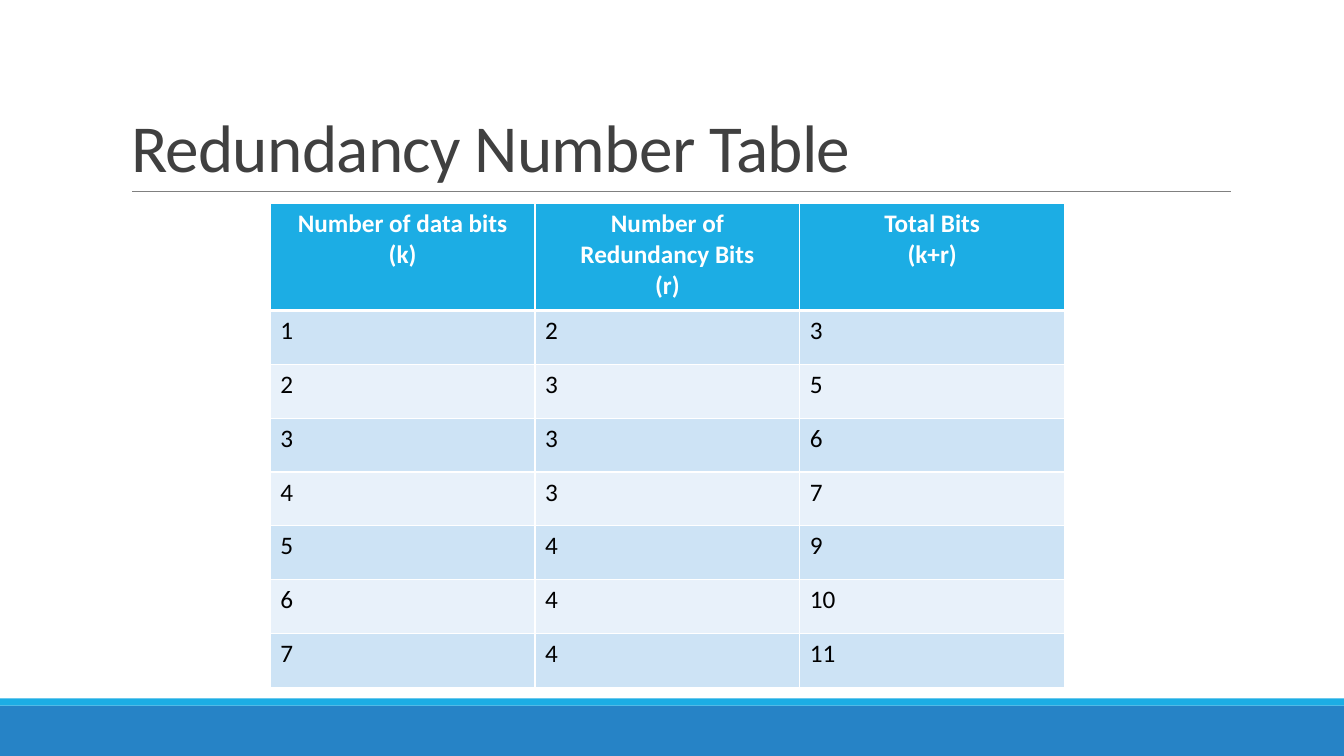
"""Build a slide with a table of redundancy bits for each number of data bits."""
from dataclasses import dataclass

from lxml import etree
from pptx import Presentation
from pptx.dml.color import RGBColor
from pptx.enum import shapes, text
from pptx.oxml import ns
from pptx.util import Inches, Pt

TITLE = "Redundancy Number Table"
HEADERS = [
    ["Number of data bits", "(k)"],
    ["Number of Redundancy Bits", "(r)"],
    ["Total Bits", "(k+r)"],
]
BITS = [(1, 2), (2, 3), (3, 3), (4, 3), (5, 4), (6, 4), (7, 4)]


@dataclass(frozen=True)
class Theme:
    font: str = "Calibri"
    title_size: int = 48
    table_size: int = 18
    title: str = "404040"
    accent: str = "1CADE4"
    footer: str = "2683C6"
    rule: str = "808080"
    white: str = "FFFFFF"
    black: str = "000000"
    bands: tuple = ("CDE3F5", "E8F1FA")


THEME = Theme()
SLIDE_WIDTH, SLIDE_HEIGHT = 13.33, 7.5
TABLE_LEFT, TABLE_TOP, TABLE_WIDTH, TABLE_HEIGHT = 2.68, 2.02, 7.88, 4.8
HEADER_HEIGHT = 1.06


def color(value):
    return RGBColor.from_string(value)


def write(frame, lines, size, ink, bold=False, align=text.PP_ALIGN.LEFT, line_spacing=1.0, tracking=0):
    for index, line in enumerate(lines):
        paragraph = frame.add_paragraph() if index else frame.paragraphs[0]
        paragraph.alignment = align
        paragraph.line_spacing = line_spacing
        run = paragraph.add_run()
        run.text = line
        run.font.name, run.font.size, run.font.bold = THEME.font, Pt(size), bold
        run.font.color.rgb = color(ink)
        if tracking:
            run.font._element.set("spc", str(int(tracking * 100)))


def add_band(slide, top, height, fill):
    band = slide.shapes.add_shape(
        shapes.MSO_SHAPE.RECTANGLE, 0, Inches(top), Inches(SLIDE_WIDTH), Inches(height))
    band.shadow.inherit = False
    band.fill.solid()
    band.fill.fore_color.rgb = color(fill)
    band.line.fill.background()


def add_rule(slide, left, right, top):
    rule = slide.shapes.add_connector(
        shapes.MSO_CONNECTOR.STRAIGHT, Inches(left), Inches(top), Inches(right), Inches(top))
    rule.line.color.rgb = color(THEME.rule)
    rule.line.width = Pt(0.5)
    etree.SubElement(rule._element.spPr, ns.qn("a:effectLst"))


def add_title(slide):
    title = slide.shapes.title
    title.left, title.top, title.width, title.height = map(Inches, (1.2, 0.31, 11, 1.59))
    frame = title.text_frame
    frame.word_wrap = True
    frame.auto_size = text.MSO_AUTO_SIZE.NONE
    frame.vertical_anchor = text.MSO_ANCHOR.BOTTOM
    write(frame, [TITLE], THEME.title_size, THEME.title, line_spacing=0.85, tracking=-0.5)


def style_cell(cell, fill, borders):
    properties = cell._tc.get_or_add_tcPr()
    for side, width in borders.items():
        border = etree.SubElement(properties, ns.qn(f"a:ln{side}"), w=str(Pt(width)))
        solid = etree.SubElement(border, ns.qn("a:solidFill"))
        etree.SubElement(solid, ns.qn("a:srgbClr"), val=THEME.white)
    cell.fill.solid()
    cell.fill.fore_color.rgb = color(fill)


def add_bits_table(slide):
    rows = [HEADERS] + [[[str(value)] for value in (k, r, k + r)] for k, r in BITS]
    table = slide.shapes.add_table(
        len(rows), len(HEADERS), Inches(TABLE_LEFT), Inches(TABLE_TOP),
        Inches(TABLE_WIDTH), Inches(TABLE_HEIGHT)).table
    body_height = (TABLE_HEIGHT - HEADER_HEIGHT) / len(BITS)
    for column in table.columns:
        column.width = Inches(TABLE_WIDTH / len(HEADERS))
    for row_index, row in enumerate(rows):
        is_header = row_index == 0
        table.rows[row_index].height = Inches(HEADER_HEIGHT if is_header else body_height)
        fill = THEME.accent if is_header else THEME.bands[(row_index - 1) % 2]
        borders = {"L": 1, "R": 1, "T": 3 if row_index == 1 else 1, "B": 3 if is_header else 1}
        for column_index, lines in enumerate(row):
            cell = table.cell(row_index, column_index)
            style_cell(cell, fill, borders)
            write(cell.text_frame, lines, THEME.table_size,
                  THEME.white if is_header else THEME.black, bold=is_header,
                  align=text.PP_ALIGN.CENTER if is_header else text.PP_ALIGN.LEFT)


def main():
    presentation = Presentation()
    presentation.slide_width = Inches(SLIDE_WIDTH)
    presentation.slide_height = Inches(SLIDE_HEIGHT)
    slide = presentation.slides.add_slide(presentation.slide_layouts.get_by_name("Title Only"))
    add_band(slide, 7, 0.5, THEME.footer)
    add_band(slide, 6.93, 0.07, THEME.accent)
    add_rule(slide, 1.31, 12.21, 1.9)
    add_title(slide)
    add_bits_table(slide)
    presentation.save("out.pptx")


if __name__ == "__main__":
    main()
